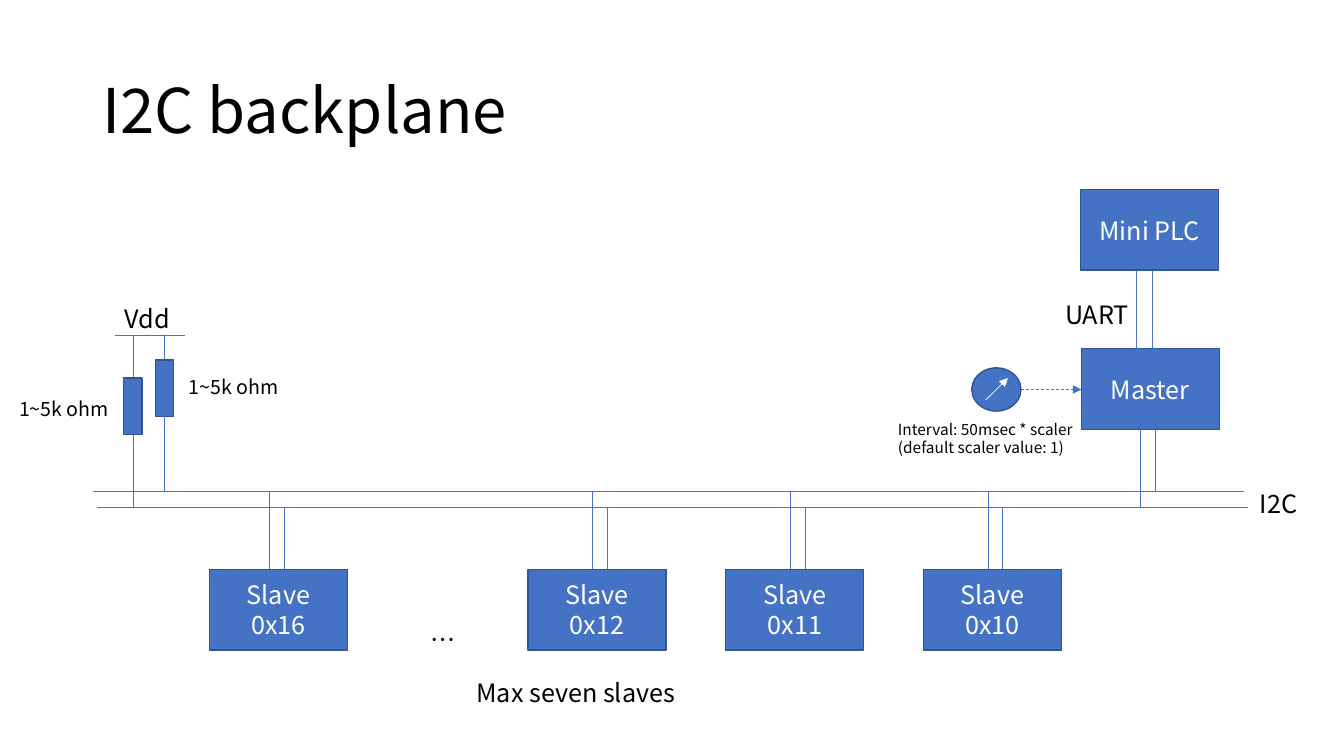
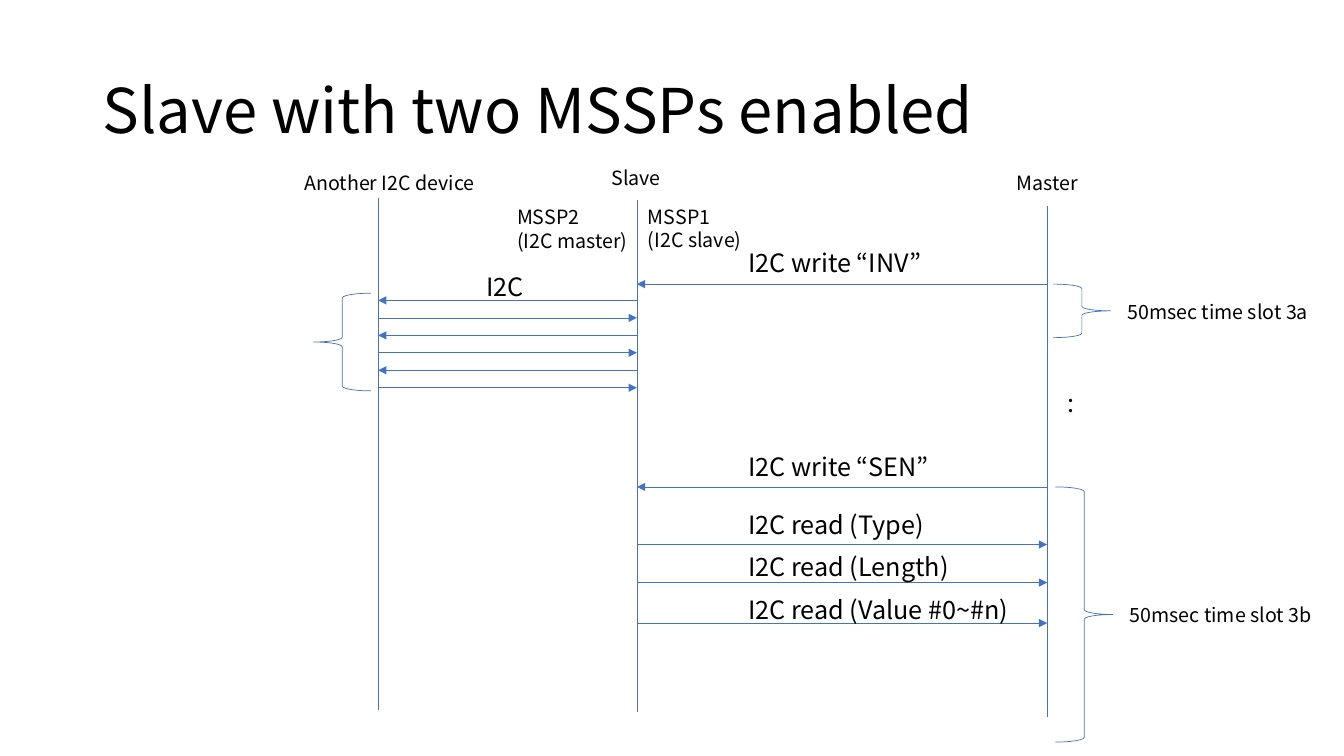
from lxml import etree
from pptx import Presentation
from pptx.dml.color import RGBColor
from pptx.enum.dml import MSO_LINE
from pptx.enum.shapes import MSO_CONNECTOR, MSO_SHAPE
from pptx.enum.text import MSO_ANCHOR, MSO_AUTO_SIZE, PP_ALIGN
from pptx.oxml.ns import qn
from pptx.util import Cm, Pt

RECT, OVAL = MSO_SHAPE.RECTANGLE, MSO_SHAPE.OVAL
LEFT_BRACE, RIGHT_BRACE = MSO_SHAPE.LEFT_BRACE, MSO_SHAPE.RIGHT_BRACE
STRAIGHT, DASH = MSO_CONNECTOR.STRAIGHT, MSO_LINE.DASH
LEFT, CENTER = PP_ALIGN.LEFT, PP_ALIGN.CENTER
MIDDLE, FIT = MSO_ANCHOR.MIDDLE, MSO_AUTO_SIZE.SHAPE_TO_FIT_TEXT

FONT = "Noto Sans CJK JP"
BLUE, EDGE, BLACK, WHITE = "4472C4", "325491", "000000", "FFFFFF"
TITLE_BOX = (2.33, 1.01, 29.21, 3.68)
NODE_W, NODE_H = 3.48, 2.03
BUS_CLOCK, BUS_DATA = 12.37, 12.78
LINE_HEIGHT = {18: 1.02, 14: 0.86, 11: 0.72}


def rgb(value):
    """Turn a hex string into a colour."""
    return RGBColor.from_string(value)


def write(tf, text, size, color, align=LEFT, spacing=None):
    """Fill a text frame, one paragraph for each line of text."""
    for i, line in enumerate(text.split("\n")):
        p = tf.paragraphs[0] if i == 0 else tf.add_paragraph()
        p.alignment, p.line_spacing = align, spacing
        r = p.add_run()
        r.text = line
        for name, value in {"name": FONT, "size": Pt(size)}.items():
            setattr(r.font, name, value)
        r.font.color.rgb = rgb(color)
        etree.SubElement(r.font._element, qn("a:ea"), typeface=FONT)


def add_title(s, text):
    """Write the slide title."""
    tf = s.shapes.add_textbox(*map(Cm, TITLE_BOX)).text_frame
    tf.word_wrap, tf.vertical_anchor = True, MIDDLE
    write(tf, text, 44, BLACK, spacing=0.9)


def add_label(s, x, y, w, text, size=18):
    """Write a free label whose box fits its text."""
    h = LINE_HEIGHT[size] + text.count("\n") * size * 0.0423
    tf = s.shapes.add_textbox(Cm(x), Cm(y), Cm(w), Cm(h)).text_frame
    tf.word_wrap, tf.auto_size = False, FIT
    write(tf, text, size, BLACK)


def add_line(s, x1, y1, x2, y2, color=BLUE, arrow=False, dash=None):
    """Draw a thin line, with an arrowhead at its end if asked."""
    cn = s.shapes.add_connector(STRAIGHT, Cm(x1), Cm(y1), Cm(x2), Cm(y2))
    cn.line.color.rgb = rgb(color)
    cn.line.width = Pt(0.5)
    if dash:
        cn.line.dash_style = dash
    if arrow:
        etree.SubElement(cn.line._get_or_add_ln(), qn("a:tailEnd"), type="triangle")
    etree.SubElement(cn._element.spPr, qn("a:effectLst"))


def add_block(s, kind, x, y, w, h, text=""):
    """Draw a filled shape with centred white text."""
    sp = s.shapes.add_shape(kind, Cm(x), Cm(y), Cm(w), Cm(h))
    sp.shadow.inherit = False
    sp.fill.solid()
    sp.fill.fore_color.rgb = rgb(BLUE)
    sp.line.color.rgb = rgb(EDGE)
    sp.line.width = Pt(1)
    if text:
        sp.text_frame.word_wrap, sp.text_frame.vertical_anchor = True, MIDDLE
        write(sp.text_frame, text, 18, WHITE, CENTER)


def add_brace(s, kind, x, y, h):
    """Draw a brace that spans a time slot."""
    sp = s.shapes.add_shape(kind, Cm(x), Cm(y), Cm(1.45), Cm(h))
    sp.shadow.inherit = False
    sp.fill.background()
    sp.line.color.rgb = rgb(BLUE)
    sp.line.width = Pt(0.5)


def add_bus(s, x, w):
    """Draw the two bus lines and their name."""
    add_line(s, x, BUS_CLOCK, x + w, BUS_CLOCK)
    add_line(s, x + 0.1, BUS_DATA, x + w + 0.1, BUS_DATA)
    add_label(s, x + w + 0.16, 12.17, 1.5, "I2C")


def add_slave(s, x, y, address, tap):
    """Draw a slave and its two taps to the bus."""
    add_block(s, RECT, x, y, NODE_W, NODE_H, f"Slave\n{address}")
    add_line(s, x + tap, y, x + tap, BUS_CLOCK)
    add_line(s, x + tap + 0.37, y, x + tap + 0.37, BUS_DATA)


def add_pull_ups(s, x, y):
    """Draw the supply rail with a pull-up resistor for each bus line."""
    w, h = 0.46, 1.42
    add_label(s, x, y - 0.94, 1.68, "Vdd")
    add_line(s, x, y, x + 1.77, y)
    for dx, dy, bus in ((0.22, 1.07, BUS_DATA), (1.02, 0.61, BUS_CLOCK)):
        middle = x + dx + w / 2
        add_line(s, middle, y, middle, y + dy)
        add_block(s, RECT, x + dx, y + dy, w, h)
        add_line(s, middle, y + dy + h, middle, bus)
    add_label(s, x + 1.6, y + 0.86, 2.82, "1~5k ohm", 14)
    add_label(s, x - 2.67, y + 1.42, 2.82, "1~5k ohm", 14)


def add_timer(s, x, y, reach):
    """Draw the interval timer and its trigger arrow."""
    w, h = 1.24, 1.09
    add_block(s, OVAL, x, y, w, h)
    add_line(s, x + 0.35, y + 0.81, x + 0.91, y + 0.26, WHITE, arrow=True)
    add_line(s, x + w, y + h / 2, reach, y + h / 2, arrow=True, dash=DASH)
    add_label(s, x - 2.11, y + 1.19, 4.98,
              "Interval: 50msec * scaler\n(default scaler value: 1)", 11)


def add_controllers(s, x, y):
    """Draw the PLC, the master below it and their wires."""
    master_y = y + 4.01
    add_block(s, RECT, x, y, NODE_W, NODE_H, "Mini PLC")
    add_block(s, RECT, x + 0.02, master_y, NODE_W, NODE_H, "Master")
    for dx in (1.4, 1.8):
        add_line(s, x + dx, y + NODE_H, x + dx, master_y)
    for dx, bus in ((1.52, BUS_DATA), (1.88, BUS_CLOCK)):
        add_line(s, x + dx, master_y + NODE_H, x + dx, bus)
    add_label(s, x - 0.64, y + 2.64, 2.24, "UART")
    add_timer(s, x - 2.74, master_y + 0.48, x + 0.02)


def backplane_slide(s):
    """Build the slide of the bus wiring."""
    add_title(s, "I2C backplane")
    add_bus(s, 2.34, 29)
    for x, address, tap in ((5.28, "0x16", 1.52), (13.31, "0x12", 1.63),
                            (18.29, "0x11", 1.63), (23.27, "0x10", 1.63)):
        add_slave(s, x, 14.35, address, tap)
    add_label(s, 10.59, 15.6, 1.14, "…")
    add_label(s, 11.76, 16.94, 5.69, "Max seven slaves")
    add_pull_ups(s, 2.9, 8.46)
    add_controllers(s, 27.23, 4.78)


def add_lifeline(s, x, y, label_x, label_y, label_w, name):
    """Draw a named participant and its lifeline."""
    add_label(s, label_x, label_y, label_w, name, 14)
    add_line(s, x, y, x, y + 12.9)


def add_device_traffic(s, device, slave, y):
    """Draw the alternating messages between the device and the slave."""
    for i in range(6):
        start, end = (slave, device) if i % 2 == 0 else (device, slave)
        add_line(s, start, y + 0.44 * i, end, y + 0.44 * i, arrow=True)
    add_label(s, device + 2.48, y - 0.86, 1.5, "I2C")
    add_brace(s, LEFT_BRACE, device - 1.63, y - 0.18, 2.46)


def add_master_traffic(s, slave, master):
    """Draw the labelled writes and reads between master and slave."""
    for y, rise, w, text in ((7.16, 1.04, 4.98, "write “INV”"),
                             (12.27, 1.02, 5.16, "write “SEN”"),
                             (13.72, 1.02, 5.13, "read (Type)"),
                             (14.68, 0.91, 5.74, "read (Length)"),
                             (15.7, 0.84, 7.44, "read (Value #0~#n)")):
        is_write = text.startswith("write")
        start, end = (master, slave) if is_write else (slave, master)
        add_line(s, start, y, end, y, arrow=True)
        add_label(s, slave + 2.56, y - rise, w, f"I2C {text}")


def add_time_slot(s, x, y, h, name, label_y):
    """Draw a brace and the name of its time slot."""
    add_brace(s, RIGHT_BRACE, x, y, h)
    add_label(s, x + 1.62, label_y, 5.11, f"50msec time slot {name}", 14)


def sequence_slide(s):
    """Build the slide of the message sequence."""
    device, slave, master = 9.53, 16.05, 26.39
    add_title(s, "Slave with two MSSPs enabled")
    add_lifeline(s, device, 4.98, 7.42, 4.17, 4.85, "Another I2C device")
    add_lifeline(s, slave, 5.03, 15.16, 4.06, 1.75, "Slave")
    add_lifeline(s, master, 5.18, 25.37, 4.17, 2.13, "Master")
    add_label(s, 12.78, 5.05, 3.4, "MSSP2\n(I2C master)", 14)
    add_label(s, 16.08, 5.03, 3, "MSSP1\n(I2C slave)", 14)
    add_device_traffic(s, device, slave, 7.57)
    add_master_traffic(s, slave, master)
    add_time_slot(s, 26.54, 7.16, 1.35, "3a", 7.44)
    add_label(s, 26.66, 9.63, 0.68, ":")
    add_time_slot(s, 26.6, 12.27, 6.43, "3b", 15.06)


def main():
    """Build and save the presentation."""
    prs = Presentation()
    prs.slide_width, prs.slide_height = Cm(33.87), Cm(19.05)
    for build in (backplane_slide, sequence_slide):
        build(prs.slides.add_slide(prs.slide_layouts[6]))
    prs.save("out.pptx")


main()
